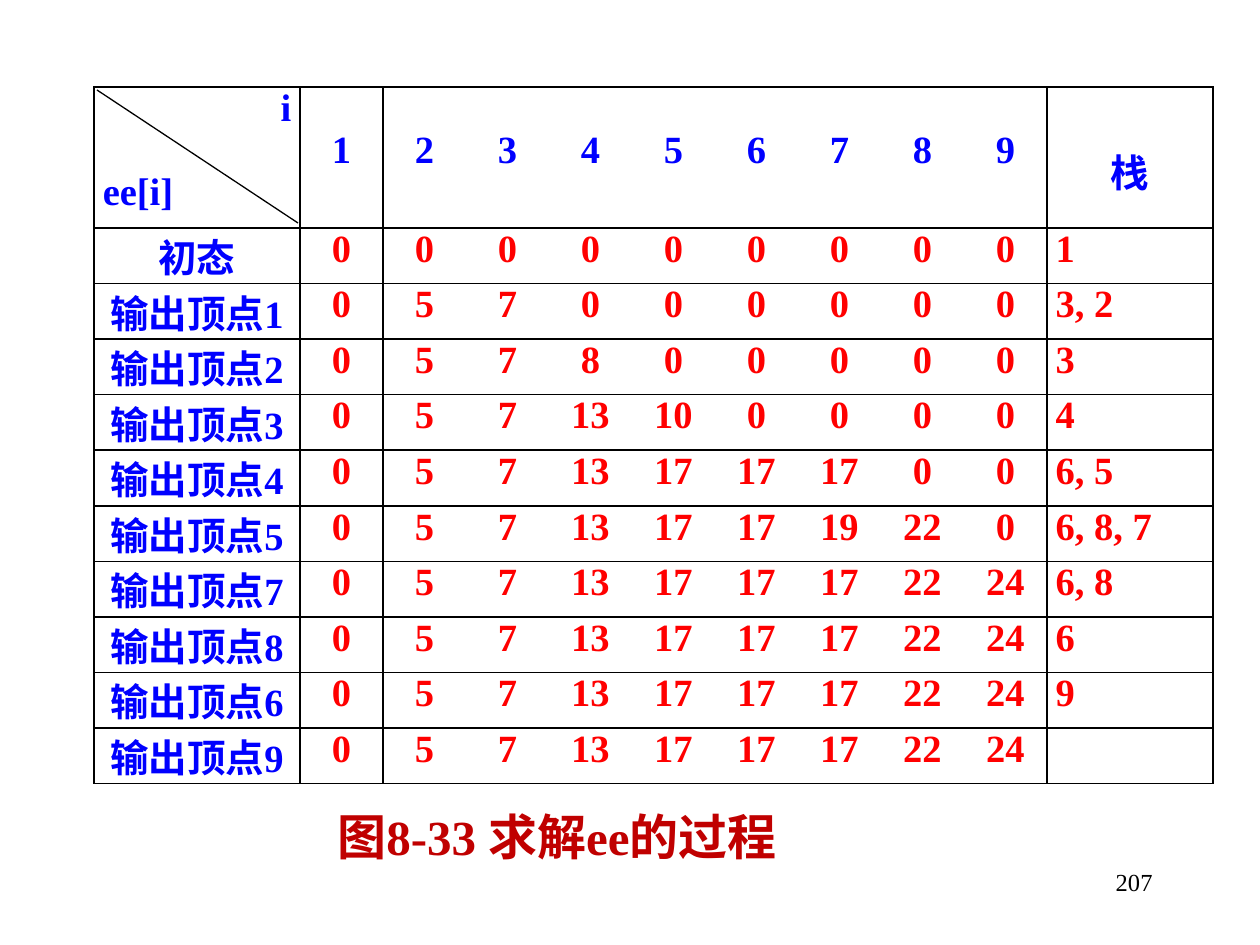
from lxml import etree
from pptx import Presentation
from pptx.dml.color import RGBColor
from pptx.enum import shapes, text
from pptx.oxml import ns
from pptx import util as u

BLUE = RGBColor(0x00, 0x00, 0xFF)
RED = RGBColor(0xFF, 0x00, 0x00)
DARK = RGBColor(0xC0, 0x00, 0x00)
BLACK = RGBColor(0x00, 0x00, 0x00)
FACE = "Times New Roman"
PLAIN = "{2D5ABB26-0587-4C30-8999-92F81FD0307C}"

HEAD = ["1", "2", "3", "4", "5", "6", "7", "8", "9", "栈"]
STEPS = [
    ("初态", [0, 0, 0, 0, 0, 0, 0, 0, 0], "1"),
    ("输出顶点1", [0, 5, 7, 0, 0, 0, 0, 0, 0], "3, 2"),
    ("输出顶点2", [0, 5, 7, 8, 0, 0, 0, 0, 0], "3"),
    ("输出顶点3", [0, 5, 7, 13, 10, 0, 0, 0, 0], "4"),
    ("输出顶点4", [0, 5, 7, 13, 17, 17, 17, 0, 0], "6, 5"),
    ("输出顶点5", [0, 5, 7, 13, 17, 17, 19, 22, 0], "6, 8, 7"),
    ("输出顶点7", [0, 5, 7, 13, 17, 17, 17, 22, 24], "6, 8"),
    ("输出顶点8", [0, 5, 7, 13, 17, 17, 17, 22, 24], "6"),
    ("输出顶点6", [0, 5, 7, 13, 17, 17, 17, 22, 24], "9"),
    ("输出顶点9", [0, 5, 7, 13, 17, 17, 17, 22, 24], ""),
]
COLS = [206] + [83] * 9 + [166]
TOP, BODY = 141, 556
LEFT, MID, RIGHT, JUST = (text.PP_ALIGN.LEFT, text.PP_ALIGN.CENTER,
                          text.PP_ALIGN.RIGHT, text.PP_ALIGN.JUSTIFY)


def px(n):
    return round(n * 914400 / 126)


def write(para, words, size, color, align, bold=True):
    para.alignment = align
    if words:
        run = para.add_run()
        run.text = words
        font = run.font
        font.name, font.size, font.bold = FACE, u.Pt(size), bold
        font.color.rgb = color


def label(slide, box, words, size, color, align, bold):
    frame = slide.shapes.add_textbox(*map(px, box)).text_frame
    frame.word_wrap = True
    write(frame.paragraphs[0], words, size, color, align, bold)


def edge(cell, sides):
    props = cell._tc.get_or_add_tcPr()
    for spot, side in enumerate(sides):
        line = etree.Element(ns.qn("a:ln" + side), w=str(u.Pt(1)))
        fill = etree.SubElement(line, ns.qn("a:solidFill"))
        etree.SubElement(fill, ns.qn("a:srgbClr"), val=str(BLACK))
        props.insert(spot, line)


def style(cell, col):
    cell.margin_left = cell.margin_right = u.Inches(0.07)
    cell.margin_top = cell.margin_bottom = 0
    cell.fill.background()
    sides = {0: "LRTB", 1: "LTB", 9: "RTB", 10: "LRTB"}
    edge(cell, sides.get(col, "TB"))


def grid(slide):
    size = len(STEPS) + 1, len(COLS)
    table = slide.shapes.add_table(
        *size, px(94), px(87), px(sum(COLS)), px(TOP + BODY)).table
    table.first_row = table.horz_banding = False
    table._tbl.tblPr.find(ns.qn("a:tableStyleId")).text = PLAIN
    for col, wide in zip(table.columns, COLS):
        col.width = px(wide)
    for num, row in enumerate(table.rows):
        row.height = px(BODY / len(STEPS)) if num else px(TOP)
        for col, cell in enumerate(row.cells):
            style(cell, col)

    frame = table.cell(0, 0).text_frame
    write(frame.paragraphs[0], "i", 22, BLUE, RIGHT)
    para = frame.add_paragraph()
    para.space_before = u.Pt(24)
    write(para, "ee[i]", 22, BLUE, JUST)
    for col, words in enumerate(HEAD, 1):
        para = table.cell(0, col).text_frame.paragraphs[0]
        para.line_spacing = 2.0
        write(para, words, 22, BLUE, MID)
    for row, (name, nums, stack) in enumerate(STEPS, 1):
        for col, words in enumerate([name, *map(str, nums), stack]):
            para = table.cell(row, col).text_frame.paragraphs[0]
            write(para, words, 22, RED if col else BLUE,
                  JUST if col == 10 else MID)


def slash(slide):
    line = slide.shapes.add_connector(
        shapes.MSO_CONNECTOR.STRAIGHT, px(97), px(90), px(298), px(223))
    line.line.color.rgb = BLACK
    line.line.width = u.Pt(0.75)
    etree.SubElement(line._element.spPr, ns.qn("a:effectLst"))


def main():
    deck = Presentation()
    deck.slide_width, deck.slide_height = px(1260), px(945)
    slide = deck.slides.add_slide(deck.slide_layouts[6])
    label(slide, (903, 861, 262, 63), "207", 14, BLACK, RIGHT, False)
    grid(slide)
    slash(slide)
    label(slide, (325, 800, 611, 72), "图8-33 求解ee的过程", 28, DARK, LEFT, True)
    deck.save("out.pptx")


if __name__ == "__main__":
    main()
